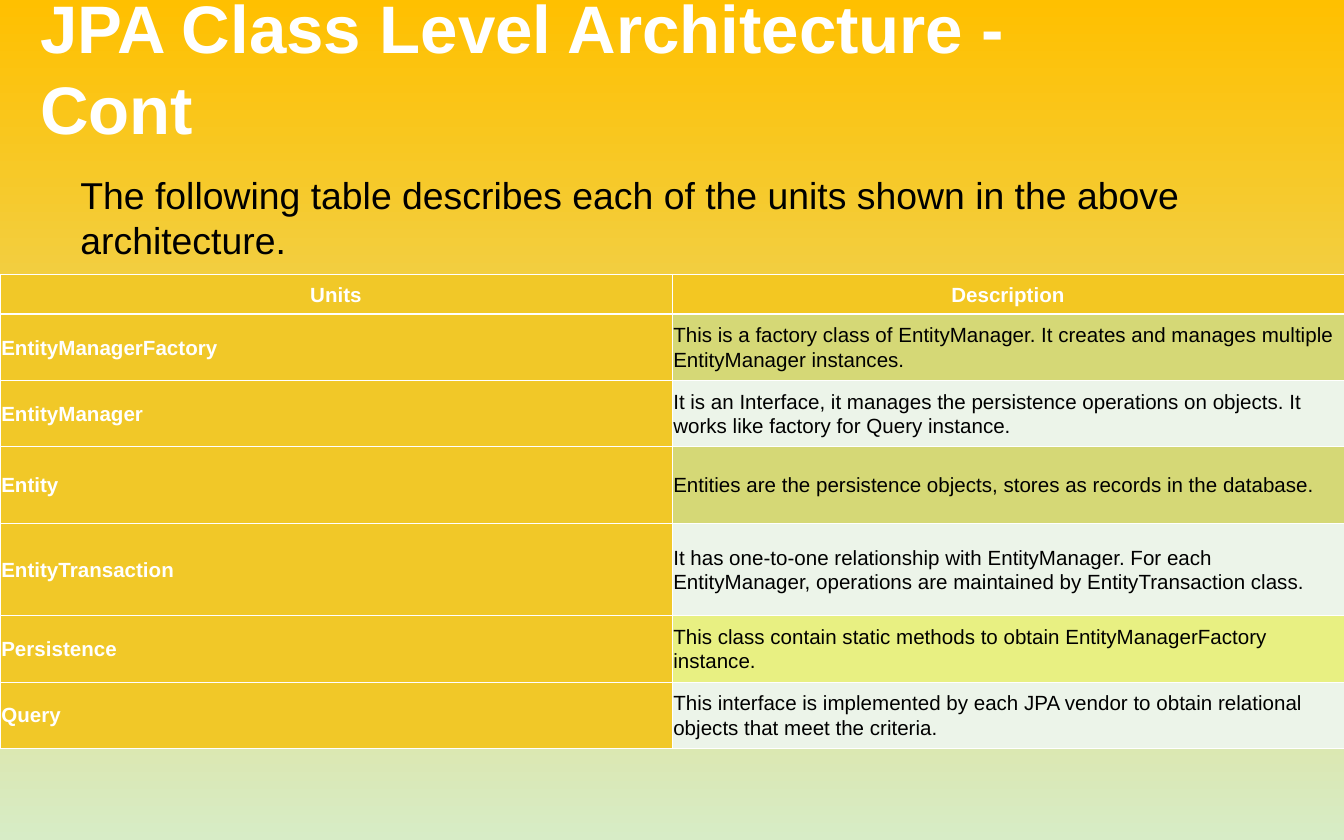
import pptx
import pptx.util
import pptx.dml.color
import pptx.enum.text
import pptx.oxml
from dataclasses import dataclass

Inches = pptx.util.Inches
Pt = pptx.util.Pt
Align = pptx.enum.text.PP_ALIGN
Anchor = pptx.enum.text.MSO_ANCHOR
NS = "http://schemas.openxmlformats.org/drawingml/2006/main"


@dataclass(frozen=True)
class Theme:
    font: str = "Arial"
    white: str = "FFFFFF"
    black: str = "000000"
    top: str = "FFC000"
    base: str = "D7ECC6"
    gold: str = "F1C828"
    amber: str = "F3C722"
    olive: str = "D5D876"
    pale: str = "ECF4E9"
    lime: str = "E8F082"
    title: int = 36
    body: int = 20
    cell: int = 11
    thin: float = 0.45
    thick: float = 1.47


def color(value):
    return pptx.dml.color.RGBColor.from_string(value)


def write(frame, text, *, font, size, ink, bold=False, align=Align.LEFT,
          before=0, after=0, lead=None):
    para = frame.paragraphs[0]
    para.alignment = align
    para.space_before = Pt(before)
    para.space_after = Pt(after)
    if lead:
        para.line_spacing = lead
    run = para.add_run()
    run.text = text
    run.font.name = font
    run.font.size = Pt(size)
    run.font.bold = bold
    run.font.color.rgb = color(ink)


class Deck:
    def __init__(self, file, theme):
        self.theme = theme
        self.slide = file.slides.add_slide(file.slide_layouts[6])

    def ground(self):
        fill = self.slide.background.fill
        fill.gradient()
        fill.gradient_angle = 270
        tones = (self.theme.top, self.theme.base)
        for stop, tone, place in zip(fill.gradient_stops, tones, (0, 1)):
            stop.color.rgb = color(tone)
            stop.position = place

    def text(self, box, words, anchor=Anchor.TOP, **style):
        shape = self.slide.shapes.add_textbox(*map(Inches, box))
        frame = shape.text_frame
        frame.word_wrap = True
        frame.vertical_anchor = anchor
        write(frame, words, font=self.theme.font, **style)

    def edge(self, cell, side, width):
        cell._tc.get_or_add_tcPr().append(pptx.oxml.parse_xml(
            f'<a:ln{side} xmlns:a="{NS}" w="{Pt(width)}"><a:solidFill>'
            f'<a:srgbClr val="{self.theme.white}"/></a:solidFill></a:ln{side}>'))

    def cell(self, cell, words, fill, row, **style):
        theme = self.theme
        cell.margin_left = cell.margin_right = Inches(0.01)
        cell.margin_top = cell.margin_bottom = Inches(0.05)
        cell.vertical_anchor = Anchor.MIDDLE
        heavy = {0: "B", 1: "T"}.get(row)
        for side in "LRTB":
            self.edge(cell, side, theme.thick if side == heavy else theme.thin)
        cell.fill.solid()
        cell.fill.fore_color.rgb = color(fill)
        write(cell.text_frame, words, font=theme.font, size=theme.cell,
              after=8, lead=1.07, **style)

    def table(self, box, rows, heights):
        theme = self.theme
        grid = self.slide.shapes.add_table(
            len(rows), 2, *map(Inches, box)).table
        for row, (unit, about, fill) in enumerate(rows):
            grid.rows[row].height = Inches(heights[row])
            head = row == 0
            align = Align.CENTER if head else Align.LEFT
            self.cell(grid.cell(row, 0), unit, theme.gold, row,
                      ink=theme.white, bold=True, align=align)
            self.cell(grid.cell(row, 1), about, fill, row,
                      ink=theme.white if head else theme.black,
                      bold=head, align=align)


def main():
    file = pptx.Presentation()
    file.slide_width = Inches(10)
    file.slide_height = Inches(6.25)
    theme = Theme()
    deck = Deck(file, theme)
    deck.ground()
    deck.text((0.2, -0.02, 7.88, 1.04), "JPA Class Level Architecture - Cont",
              anchor=Anchor.MIDDLE, size=theme.title, ink=theme.white, bold=True)
    deck.text((0.5, 1.23, 9, 4.35),
              "The following table describes each of the units shown in the "
              "above architecture.",
              size=theme.body, ink=theme.black, before=5)
    rows = [
        ("Units", "Description", theme.amber),
        ("EntityManagerFactory",
         "This is a factory class of EntityManager. It creates and manages "
         "multiple EntityManager instances.", theme.olive),
        ("EntityManager",
         "It is an Interface, it manages the persistence operations on "
         "objects. It works like factory for Query instance.", theme.pale),
        ("Entity",
         "Entities are the persistence objects, stores as records in the "
         "database.", theme.olive),
        ("EntityTransaction",
         "It has one-to-one relationship with EntityManager. For each "
         "EntityManager, operations are maintained by EntityTransaction "
         "class.", theme.pale),
        ("Persistence",
         "This class contain static methods to obtain EntityManagerFactory "
         "instance.", theme.lime),
        ("Query",
         "This interface is implemented by each JPA vendor to obtain "
         "relational objects that meet the criteria.", theme.pale),
    ]
    deck.table((0, 2.04, 10, 3.33), rows,
               (0.24, 0.46, 0.46, 0.57, 0.69, 0.46, 0.46))
    file.save("out.pptx")


if __name__ == "__main__":
    main()
